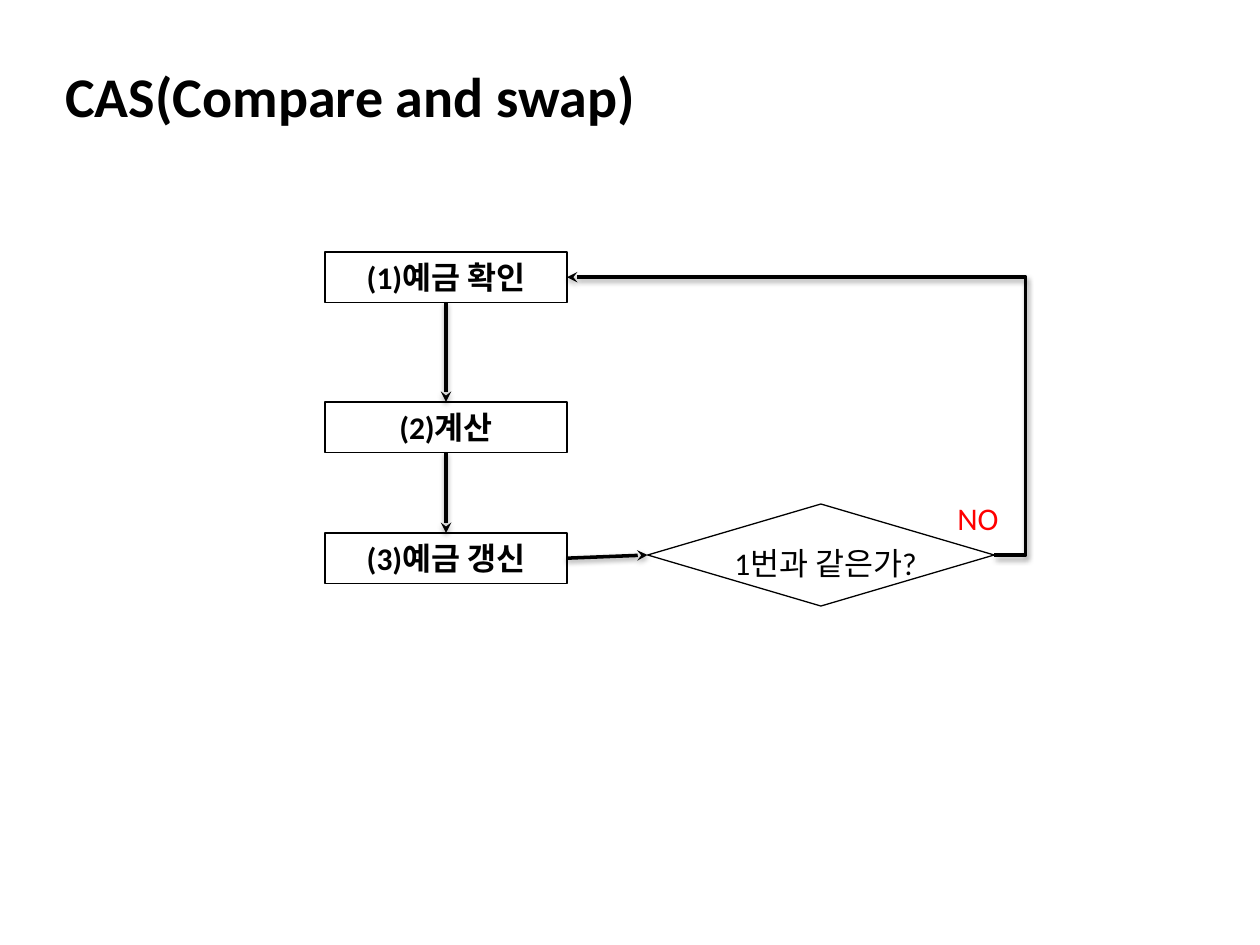
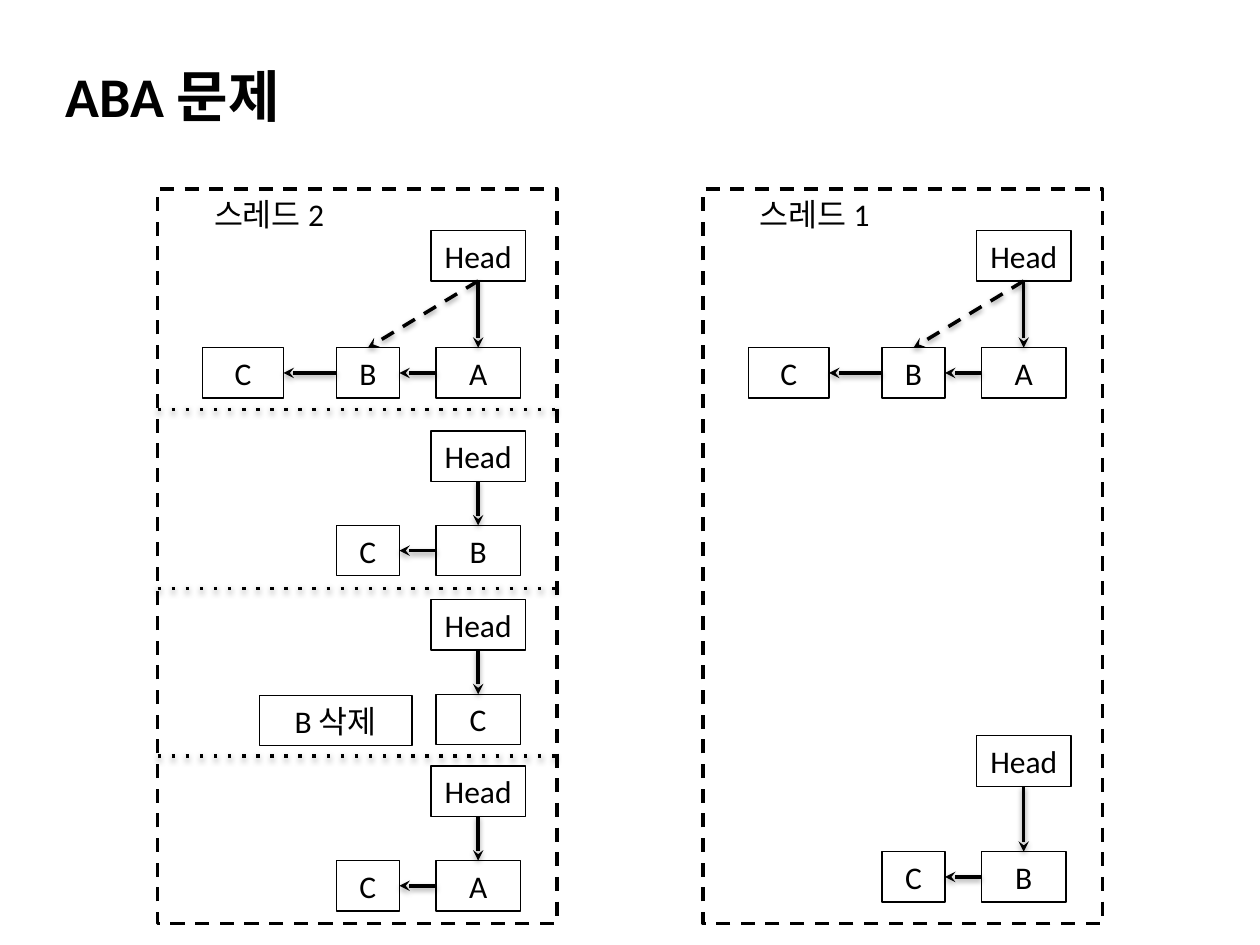
from lxml import etree
from pptx import Presentation
from pptx import util as u
from pptx.dml.color import RGBColor
from pptx.enum import dml, shapes, text
from pptx.oxml.ns import qn

COLORS = {"ink": "000000", "alert": "FF0000"}
FONT = "Calibri"
BOX_HEIGHT = 0.4

presentation = Presentation()
presentation.slide_width = u.Inches(10)
presentation.slide_height = u.Inches(7.5)


def add_box(slide, label, left, top, width, height=BOX_HEIGHT, kind=None,
            size=18, bold=False, color="ink"):
    """Add an outlined shape of the given kind, or a plain text box without one."""
    area = [u.Inches(value) for value in (left, top, width, height)]
    if kind is None:
        shape = slide.shapes.add_textbox(*area)
    else:
        shape = slide.shapes.add_shape(kind, *area)
        shape.shadow.inherit = False
        shape.fill.background()
        shape.line.color.rgb = RGBColor.from_string(COLORS["ink"])
        shape.line.width = u.Pt(0.75)
    if label:
        shape.text_frame.word_wrap = True
        shape.text_frame.text = label
        paragraph = shape.text_frame.paragraphs[0]
        paragraph.alignment = text.PP_ALIGN.CENTER if kind else text.PP_ALIGN.LEFT
        font = paragraph.runs[0].font
        font.name, font.size, font.bold = FONT, u.Pt(size), bold
        font.color.rgb = RGBColor.from_string(COLORS[color])
    return shape


def add_line(slide, start, end, kind=shapes.MSO_CONNECTOR.STRAIGHT, dash="solid", arrow=True):
    """Join two (shape, site) pairs, or two (x, y) points in inches."""
    joined = not isinstance(start[0], (int, float))
    points = (0, 0, 0, 0) if joined else [u.Inches(value) for value in (*start, *end)]
    connector = slide.shapes.add_connector(kind, *points)
    if joined:
        connector.begin_connect(*start)
        connector.end_connect(*end)
    connector.line.color.rgb = RGBColor.from_string(COLORS["ink"])
    connector.line.width = u.Pt(2)
    properties = connector._element.spPr
    outline = properties.find(qn("a:ln"))
    etree.SubElement(outline, qn("a:prstDash"), val=dash)
    if arrow:
        etree.SubElement(outline, qn("a:tailEnd"), type="stealth")
    effects = etree.SubElement(properties, qn("a:effectLst"))
    shadow = etree.SubElement(effects, qn("a:outerShdw"), blurRad="40000", dist="20000",
                              dir="5400000", rotWithShape="0")
    shade = etree.SubElement(shadow, qn("a:srgbClr"), val=COLORS["ink"])
    etree.SubElement(shade, qn("a:alpha"), val="38000")
    return connector


# Slides with their titles
slides = []
for title in ("CAS(Compare and swap)", "ABA 문제"):
    slide = presentation.slides.add_slide(presentation.slide_layouts[6])
    add_box(slide, title, 0.42, 0.44, 8.92, 0.64, size=32, bold=True)
    slides.append(slide)
cas_slide, aba_slide = slides
RECTANGLE = shapes.MSO_SHAPE.RECTANGLE

# Slide 1: steps from top to bottom
steps = []
for label, top in (("(1)예금 확인", 2), ("(2)계산", 3.19), ("(3)예금 갱신", 4.23)):
    steps.append(add_box(cas_slide, label, 2.58, top, 1.92, kind=RECTANGLE, bold=True))
for upper, lower in zip(steps, steps[1:]):
    add_line(cas_slide, (upper, 2), (lower, 0))

# Slide 1: decision and the way back to the first step
decision = add_box(cas_slide, "", 5.14, 4, 2.75, 0.81, kind=shapes.MSO_SHAPE.DIAMOND)
add_box(cas_slide, "1번과 같은가?", 5.73, 4.27, 1.83)
add_line(cas_slide, (steps[-1], 3), (decision, 1))
retry = add_line(cas_slide, (decision, 3), (steps[0], 3), kind=shapes.MSO_CONNECTOR.ELBOW)
bend = retry._element.spPr.find(qn("a:prstGeom")).get_or_add_avLst()
etree.SubElement(bend, qn("a:gd"), name="adj1", fmla="val -7400")
add_box(cas_slide, "NO", 7.5, 3.91, 0.58, color="alert")

# Slide 2: thread frames
THREAD_LEFT = {"스레드 2": 1.25, "스레드 1": 5.58}
FRAME_WIDTH = 3.17
for thread, left in THREAD_LEFT.items():
    frame = add_box(aba_slide, "", left, 1.5, FRAME_WIDTH, 5.83, kind=RECTANGLE)
    frame.line.width = u.Pt(2)
    frame.line.dash_style = dml.MSO_LINE.DASH
    add_box(aba_slide, thread, left + 0.35, 1.5, 1.32)

# Slide 2: stack states as thread, head top, node top, nodes from the head on
NODE_SLOTS = ((2.21, 0.67), (1.42, 0.5), (0.36, 0.64))
states = (
    ("스레드 2", 1.83, 2.76, "ABC"),
    ("스레드 2", 3.42, 4.17, "BC"),
    ("스레드 2", 4.76, 5.51, "C"),
    ("스레드 2", 6.08, 6.83, "AC"),
    ("스레드 1", 1.83, 2.76, "ABC"),
    ("스레드 1", 5.84, 6.76, "BC"),
)
for thread, head_top, node_top, labels in states:
    left = THREAD_LEFT[thread]
    head = add_box(aba_slide, "Head", left + 2.17, head_top, 0.75, kind=RECTANGLE)
    nodes = [add_box(aba_slide, label, left + offset, node_top, width, kind=RECTANGLE)
             for label, (offset, width) in zip(labels, NODE_SLOTS)]
    add_line(aba_slide, (head, 2), (nodes[0], 0))
    for node, following in zip(nodes, nodes[1:]):
        add_line(aba_slide, (node, 1), (following, 3))
    if len(nodes) == 3:
        add_line(aba_slide, (head, 2), (nodes[1], 0), dash="dash")

# Slide 2: deleted node and the dividers between states
frame_left = THREAD_LEFT["스레드 2"]
add_box(aba_slide, "B 삭제", 2.06, 5.52, 1.21, kind=RECTANGLE)
for y in (3.25, 4.67, 6):
    add_line(aba_slide, (frame_left, y), (frame_left + FRAME_WIDTH, y), dash="dot", arrow=False)

presentation.save("out.pptx")
